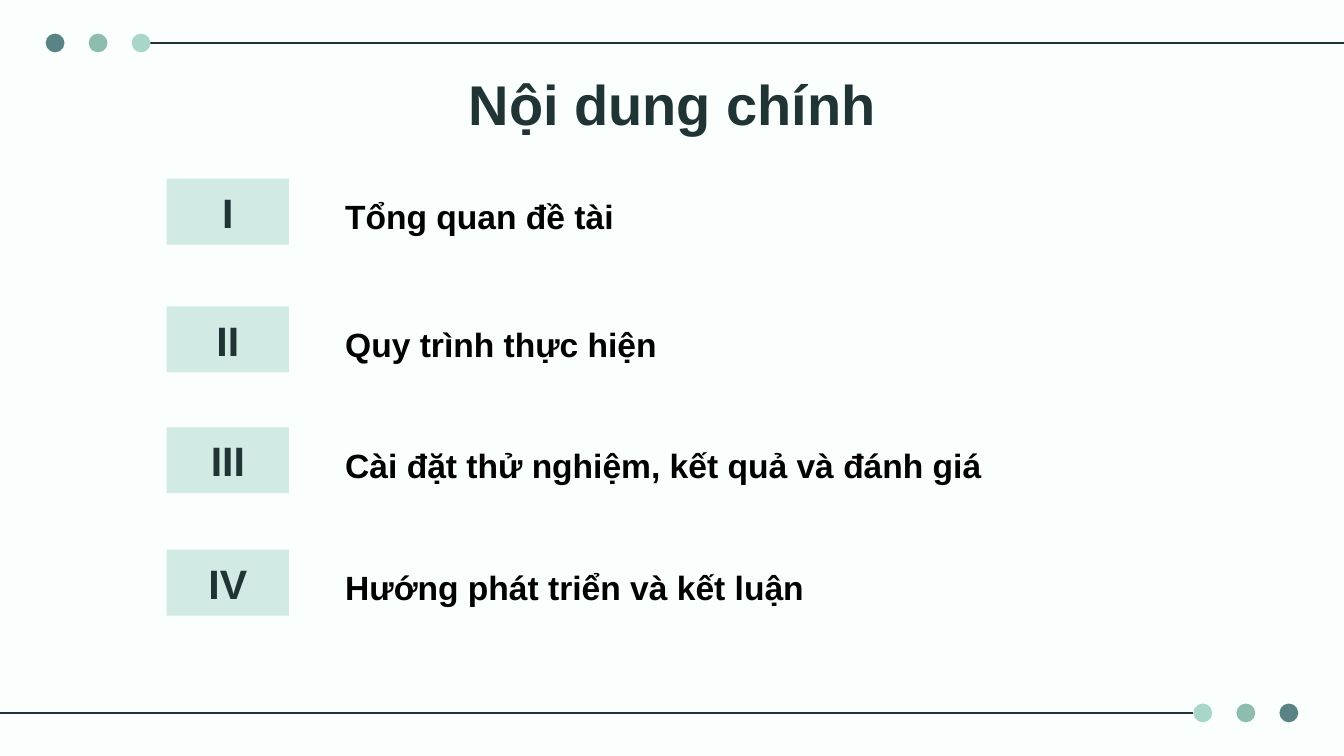
from pptx import Presentation
from pptx.dml.color import RGBColor
from pptx.enum.shapes import MSO_CONNECTOR, MSO_SHAPE
from pptx.enum.text import MSO_ANCHOR, PP_ALIGN
from pptx.oxml.ns import qn
from pptx.util import Inches, Pt
from lxml.etree import SubElement

W = 10
H = W * 9 / 16
TITLE = "Nội dung chính"
# numeral, topic, top of the row, width of the topic
SECTIONS = [
    ("I", "Tổng quan đề tài", 1.33, 3.79),
    ("II", "Quy trình thực hiện", 2.28, 3.79),
    ("III", "Cài đặt thử nghiệm, kết quả và đánh giá", 3.18, 5.62),
    ("IV", "Hướng phát triển và kết luận", 4.09, 3.79),
]
DARK, MINT = "213435", "A8D7C9"
DOTS = ["598385", "8EBDAF", MINT]  # from the slide edge inwards
DOT, DOT_STEP, DOT_EDGE, RULE_Y = 0.14, 0.32, 0.34, 0.32


def rgb(color):
    return RGBColor.from_string(color)


def add_shape(kind, x, y, w, h, color):
    sp = s.shapes.add_shape(kind, Inches(x), Inches(y), Inches(w), Inches(h))
    sp.shadow.inherit = False
    sp.fill.solid()
    sp.fill.fore_color.rgb = rgb(color)
    sp.line.fill.background()
    return sp


def add_box(x, y, w, h):
    return s.shapes.add_textbox(Inches(x), Inches(y), Inches(w), Inches(h))


def write(sp, text, size, color, align=PP_ALIGN.LEFT, anchor=MSO_ANCHOR.TOP, insets=None):
    tf = sp.text_frame
    tf.word_wrap = True
    tf.vertical_anchor = anchor
    if insets:
        tf.margin_left, tf.margin_top, tf.margin_right, tf.margin_bottom = map(Inches, insets)
    tf.text = text
    p = tf.paragraphs[0]
    p.alignment = align
    font = p.runs[0].font
    font.name, font.size, font.bold = "Arial", Pt(size), True
    font.color.rgb = rgb(color)


prs = Presentation()
prs.slide_width, prs.slide_height = Inches(W), Inches(H)
s = prs.slides.add_slide(prs.slide_layouts[6])
s.background.fill.solid()
s.background.fill.fore_color.rgb = rgb("FAFFFE")

# Rules with dots: top left, and turned half round at bottom right
for turned in (False, True):
    y = H - RULE_Y if turned else RULE_Y
    start = DOT_EDGE + 2 * DOT_STEP + DOT
    x1, x2 = (W - start, 0) if turned else (start, W)
    rule = s.shapes.add_connector(MSO_CONNECTOR.STRAIGHT, Inches(x1), Inches(y), Inches(x2), Inches(y))
    rule.line.color.rgb = rgb(DARK)
    rule.line.width = Pt(0.75)
    SubElement(rule._element.spPr, qn("a:effectLst"))
    for i, color in enumerate(DOTS):
        x = DOT_EDGE + i * DOT_STEP
        x = W - x - DOT if turned else x
        add_shape(MSO_SHAPE.OVAL, x, y - DOT / 2, DOT, DOT, color)

# Title
write(add_box(0.79, 0.42, 8.43, 0.63), TITLE, 30, DARK, PP_ALIGN.CENTER, insets=(0.1, 0.1, 0.1, 0.1))

# Sections: numeral tile and topic
for numeral, topic, top, width in SECTIONS:
    tile = add_shape(MSO_SHAPE.RECTANGLE, 1.24, top, 0.91, 0.49, MINT)
    fill_color = tile._element.spPr.find(qn("a:solidFill"))[0]
    SubElement(fill_color, qn("a:alpha"), val="49000")
    write(tile, numeral, 22, DARK, PP_ALIGN.CENTER, MSO_ANCHOR.BOTTOM, (0.1, 0.1, 0.1, 0.06))
    write(add_box(2.47, top + 0.08, width, 0.4), topic, 18, "000000")

prs.save("out.pptx")
